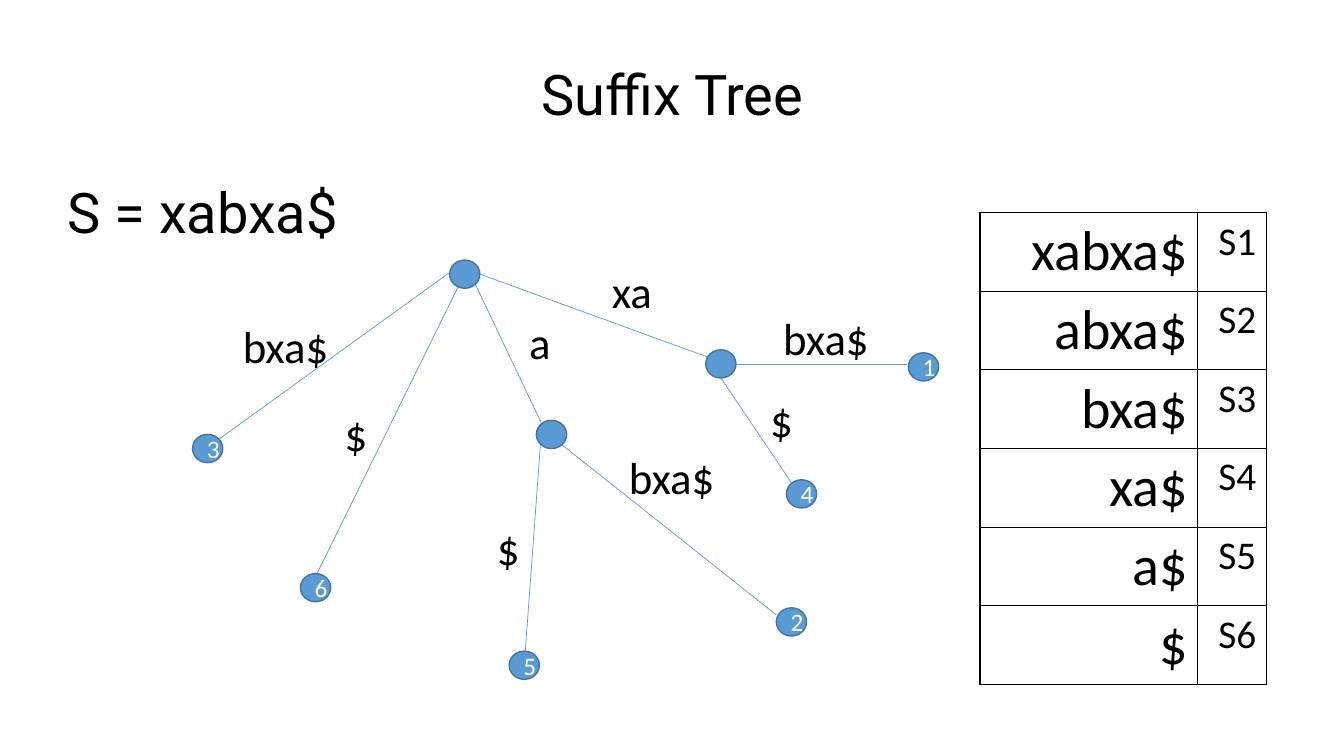
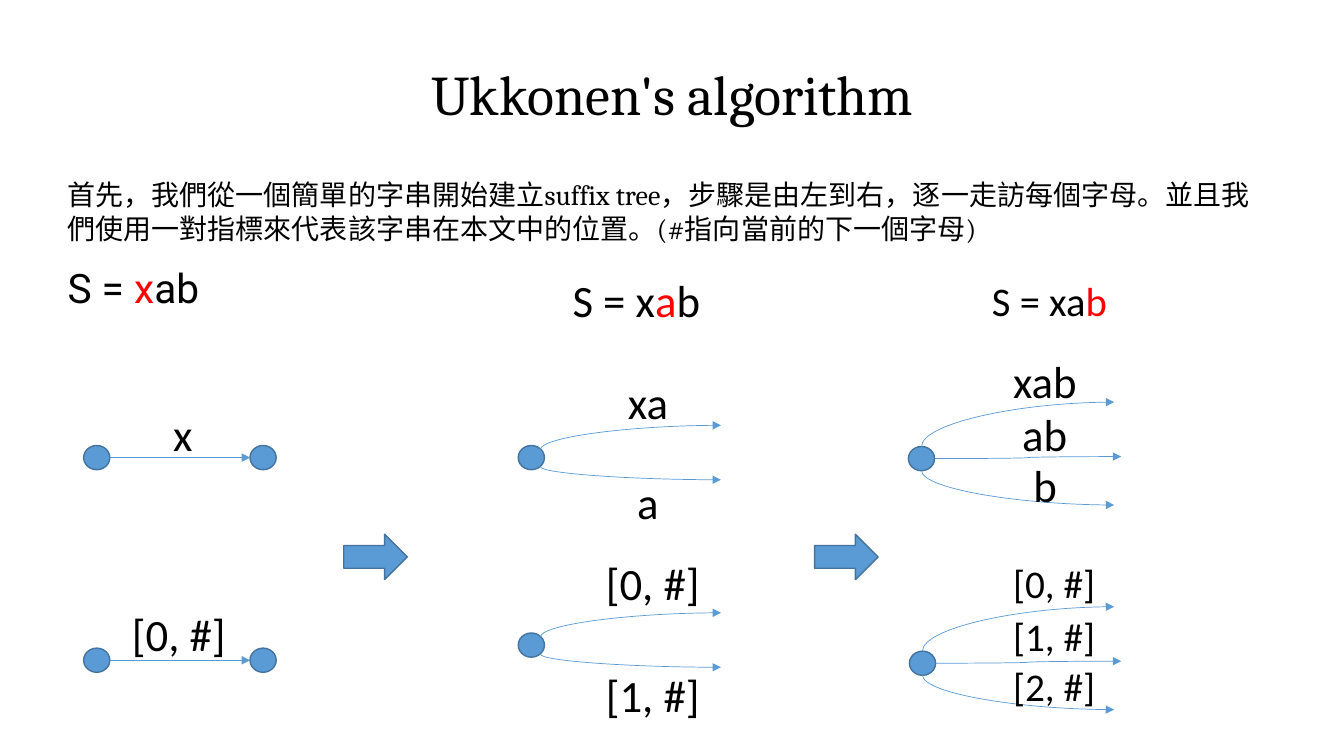
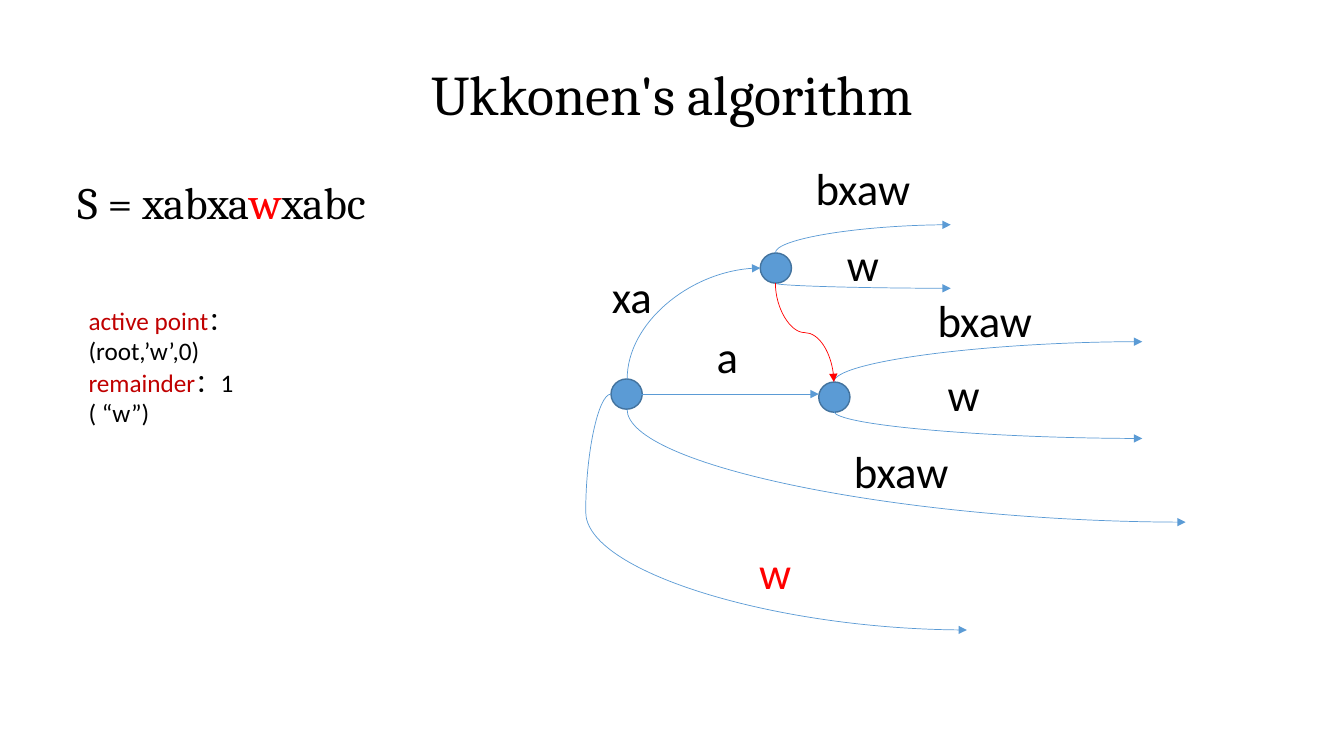
from lxml.etree import SubElement
from pptx import Presentation
from pptx.dml.color import RGBColor
from pptx.enum.shapes import MSO_CONNECTOR, MSO_SHAPE
from pptx.enum.text import MSO_ANCHOR, MSO_AUTO_SIZE, PP_ALIGN
from pptx.oxml.ns import qn
from pptx.util import Emu, Pt

SCALE = 9144  # EMU per px, 100 px to the inch
BLACK, WHITE, RED, DARK_RED = "000000", "FFFFFF", "FF0000", "C00000"
BLUE, OUTLINE = "5B9BD5", "43739E"


def px(length):
    return Emu(round(length * SCALE))


def color(value):
    return RGBColor.from_string(value)


class Deck:
    """Holds the style and the current slide."""

    font = "Calibri"
    label_size = 32

    def __init__(self):
        self.presentation = Presentation()
        self.presentation.slide_width = px(1333)
        self.presentation.slide_height = px(750)
        self.slide = None

    def new_slide(self, title, font):
        layout = self.presentation.slide_layouts[6]
        self.slide = self.presentation.slides.add_slide(layout)
        self.text([[(title, BLACK)]], 67, 30, 1200, 125, 40, font,
                  align=PP_ALIGN.CENTER, anchor=MSO_ANCHOR.MIDDLE, inset=0)

    def style_run(self, run, size, font, value):
        run.font.size = Pt(size)
        run.font.name = font
        run.font.color.rgb = color(value)

    def text(self, paragraphs, left, top, width, height, size, font=None,
             align=PP_ALIGN.LEFT, anchor=MSO_ANCHOR.TOP, inset=None, wrap=True):
        """Add a text box; each paragraph is a list of (text, color) runs."""
        shape = self.slide.shapes.add_textbox(*map(px, (left, top, width, height)))
        frame = shape.text_frame
        frame.word_wrap = wrap
        frame.vertical_anchor = anchor
        if not wrap:
            frame.auto_size = MSO_AUTO_SIZE.SHAPE_TO_FIT_TEXT
        if inset is not None:
            frame.margin_left = frame.margin_right = px(inset)
            frame.margin_top = frame.margin_bottom = px(inset)
        for index, parts in enumerate(paragraphs):
            paragraph = frame.add_paragraph() if index else frame.paragraphs[0]
            paragraph.alignment = align
            for words, value in parts:
                run = paragraph.add_run()
                run.text = words
                self.style_run(run, size, font or self.font, value)
        return shape

    def label(self, words, left, top, width, size=label_size, value=BLACK):
        height = 64 if size == self.label_size else 57
        self.text([[(words, value)]], left, top, width, height, size, wrap=False)

    def preset(self, kind, left, top, width, height):
        shape = self.slide.shapes.add_shape(kind, *map(px, (left, top, width, height)))
        shape.shadow.inherit = False
        shape.fill.solid()
        shape.fill.fore_color.rgb = color(BLUE)
        shape.line.color.rgb = color(OUTLINE)
        shape.line.width = Pt(1)
        return shape

    def node(self, left, top, width, height, words=""):
        shape = self.preset(MSO_SHAPE.OVAL, left, top, width, height)
        if words:
            frame = shape.text_frame
            frame.text = words
            frame.vertical_anchor = MSO_ANCHOR.MIDDLE
            paragraph = frame.paragraphs[0]
            paragraph.alignment = PP_ALIGN.CENTER
            self.style_run(paragraph.runs[0], 18, self.font, WHITE)

    def edge(self, begin, end, arrow=True, kind=MSO_CONNECTOR.STRAIGHT, value=BLUE):
        connector = self.slide.shapes.add_connector(kind, *map(px, begin + end))
        connector.line.color.rgb = color(value)
        connector.line.width = Pt(0.5)
        properties = connector.element.spPr
        if arrow:
            SubElement(properties.find(qn("a:ln")), qn("a:tailEnd"), type="triangle")
        SubElement(properties, qn("a:effectLst"))
        return connector

    def wave(self, begin, end, adjust=None):
        """Curve that leaves and arrives horizontally."""
        connector = self.edge(begin, end, kind=MSO_CONNECTOR.CURVE)
        if adjust is not None:
            guides = connector.element.spPr.find(qn("a:prstGeom")).find(qn("a:avLst"))
            SubElement(guides, qn("a:gd"), name="adj1", fmla=f"val {adjust}")

    def bend(self, begin, end, preset="curvedConnector2", value=BLUE):
        """Curve that leaves vertically: a turned connector about the midpoint."""
        connector = self.edge(begin, end, kind=MSO_CONNECTOR.CURVE, value=value)
        (x1, y1), (x2, y2) = begin, end
        width, height = abs(y2 - y1), abs(x2 - x1)
        connector.left = px((x1 + x2 - width) / 2)
        connector.top = px((y1 + y2 - height) / 2)
        connector.width, connector.height = px(width), px(height)
        upward = y2 < y1
        connector.rotation = 90 if upward else 270
        frame = connector.element.spPr.find(qn("a:xfrm"))
        frame.set("flipH", "1")
        frame.set("flipV", "1" if upward else "0")
        connector.element.spPr.find(qn("a:prstGeom")).set("prst", preset)

    def table(self, rows, left, top, widths, row_height, sizes):
        shape = self.slide.shapes.add_table(
            len(rows), len(widths), px(left), px(top),
            px(sum(widths)), px(row_height * len(rows)))
        table = shape.table
        table.first_row = table.horz_banding = False
        for column, width in zip(table.columns, widths):
            column.width = px(width)
        for row_index, row in enumerate(rows):
            table.rows[row_index].height = px(row_height)
            for column_index, words in enumerate(row):
                cell = table.cell(row_index, column_index)
                cell.text_frame.text = words
                paragraph = cell.text_frame.paragraphs[0]
                paragraph.alignment = PP_ALIGN.RIGHT
                self.style_run(paragraph.runs[0], sizes[column_index], self.font, BLACK)
                self.borders(cell)
                cell.fill.background()

    def borders(self, cell):
        properties = cell._tc.get_or_add_tcPr()
        for side in ("lnL", "lnR", "lnT", "lnB"):
            line = SubElement(properties, qn(f"a:{side}"), w=str(Pt(1)))
            fill = SubElement(line, qn("a:solidFill"))
            SubElement(fill, qn("a:srgbClr"), val=BLACK)


def suffix_tree(deck):
    deck.new_slide("Suffix Tree", "Roboto")
    word = "xabxa$"
    deck.text([[(f"S = {word}", BLACK)]], 67, 176, 1200, 435, 40, "Roboto", inset=0)

    # Table of suffixes
    suffixes = [(word[start:], f"S{start + 1}") for start in range(len(word))]
    deck.table(suffixes, 972, 211, (216, 68), 78, (40, 28))

    # Edges
    for begin, end in [
        ((445, 271), (214, 438)), ((461, 271), (313, 572)), ((471, 281), (538, 422)),
        ((536, 441), (521, 646)), ((557, 441), (770, 610)), ((476, 272), (704, 355)),
        ((715, 375), (785, 479)), ((730, 361), (900, 361)),
    ]:
        deck.edge(begin, end, arrow=False)

    # Nodes, the leaves numbered by suffix
    for left, top, words in [
        (446, 258, ""), (532, 417, ""), (700, 347, ""), (901, 350, "1"),
        (770, 603, "2"), (191, 431, "3"), (780, 476, "4"), (505, 646, "5"),
        (298, 569, "6"),
    ]:
        deck.node(left, top, 30, 28, words)

    # Edge labels
    for words, left, top, width in [
        ("bxa$", 231, 311, 106), ("$", 332, 399, 43), ("a", 515, 307, 42),
        ("$", 483, 512, 43), ("bxa$", 614, 441, 106), ("$", 754, 385, 43),
        ("bxa$", 767, 303, 106), ("xa", 597, 257, 60),
    ]:
        deck.label(words, left, top, width)


def first_steps(deck):
    deck.new_slide("Ukkonen's algorithm", "Cambria")
    intro = ("首先，我們從一個簡單的字串開始建立suffix tree，步驟是由左到右，逐一走訪每個字母。"
             "並且我們使用一對指標來代表該字串在本文中的位置。(#指向當前的下一個字母)")
    body = deck.text([[(intro, BLACK)], [("S = ", BLACK), ("x", RED), ("ab", BLACK)]],
                     67, 176, 1200, 435, 20, "Cambria", inset=0)
    formula = body.text_frame.paragraphs[1]
    formula.space_before = Pt(12.8)
    for run in formula.runs:
        run.font.size = Pt(29)
        run.font.name = "Roboto"
    deck.text([[("S = x", BLACK), ("a", RED), ("b", BLACK)]],
              558, 266, 158, 64, 32, wrap=False)
    deck.text([[("S = xa", BLACK), ("b", RED)]], 974, 269, 144, 59, 29, wrap=False)

    # Arrows between the steps
    for left in (341, 808):
        deck.preset(MSO_SHAPE.RIGHT_ARROW, left, 530, 63, 45)

    # Step 1: one edge
    for top in (442, 643):
        for left in (83, 248):
            deck.node(left, top, 26, 24)
        deck.edge((109, top + 12), (248, top + 12))

    # Step 2: two branches
    for top in (442, 628):
        deck.node(514, top, 26, 24)
        deck.bend((536, top + 4), (715, top - 20))
        deck.bend((536, top + 21), (715, top + 34))

    # Step 3: three branches
    for left, top in ((901, 443), (902, 646)):
        deck.node(left, top, 26, 24)
        deck.bend((left + 13, top), (1105, top - 44))
        deck.bend((left + 13, top + 24), (1105, top + 58))
        deck.wave((left + 26, top + 12), (1112, top + 10))

    # Edge labels: letters above, index pairs below
    for words, left, top, width in [
        ("x", 162, 399, 40), ("xa", 613, 367, 60), ("a", 622, 466, 42),
        ("xab", 995, 346, 84), ("ab", 1004, 399, 65), ("b", 1015, 449, 44),
        ("[0, #]", 121, 597, 115), ("[0, #]", 591, 546, 115), ("[1, #]", 591, 658, 115),
    ]:
        deck.label(words, left, top, width)
    for index, top in enumerate((550, 603, 652)):
        deck.label(f"[{index}, #]", 995, top, 103, size=28)


def active_point(deck):
    deck.new_slide("Ukkonen's algorithm", "Cambria")
    deck.text([[("S = xabxa", BLACK), ("w", RED), ("xabc", BLACK)]],
              67, 168, 337, 94, 32, "Cambria", wrap=False)

    # State of the algorithm
    for name, value, detail, top in [
        ("active point", "：", "(root,’w’,0)", 298),
        ("remainder", "：1", "( “w”)", 359),
    ]:
        deck.text([[(name, DARK_RED), (value, BLACK)], [(detail, BLACK)]],
                  78, top, 283, 70, 18)

    # Nodes
    for left, top in ((606, 376), (754, 251), (812, 379)):
        deck.node(left, top, 31, 30)

    # Edges, with the suffix link in red
    for begin, end in [
        ((622, 376), (754, 266)), ((769, 251), (943, 223)), ((769, 281), (943, 286)),
        ((622, 406), (1176, 518)), ((827, 379), (1133, 339)), ((827, 408), (1133, 435)),
    ]:
        deck.bend(begin, end)
    deck.wave((622, 391), (812, 391))
    deck.wave((606, 391), (959, 625), adjust=-7100)
    deck.bend((769, 281), (827, 379), "curvedConnector3", RED)

    # Edge labels
    for words, left, top, width, value in [
        ("xa", 597, 262, 60, BLACK), ("w", 830, 230, 52, BLACK),
        ("w", 930, 359, 52, BLACK), ("bxaw", 837, 435, 115, BLACK),
        ("a", 701, 321, 42, BLACK), ("bxaw", 920, 285, 115, BLACK),
        ("bxaw", 799, 155, 115, BLACK), ("w", 743, 535, 52, RED),
    ]:
        deck.label(words, left, top, width, value=value)


def main():
    deck = Deck()
    suffix_tree(deck)
    first_steps(deck)
    active_point(deck)
    deck.presentation.save("out.pptx")


if __name__ == "__main__":
    main()
